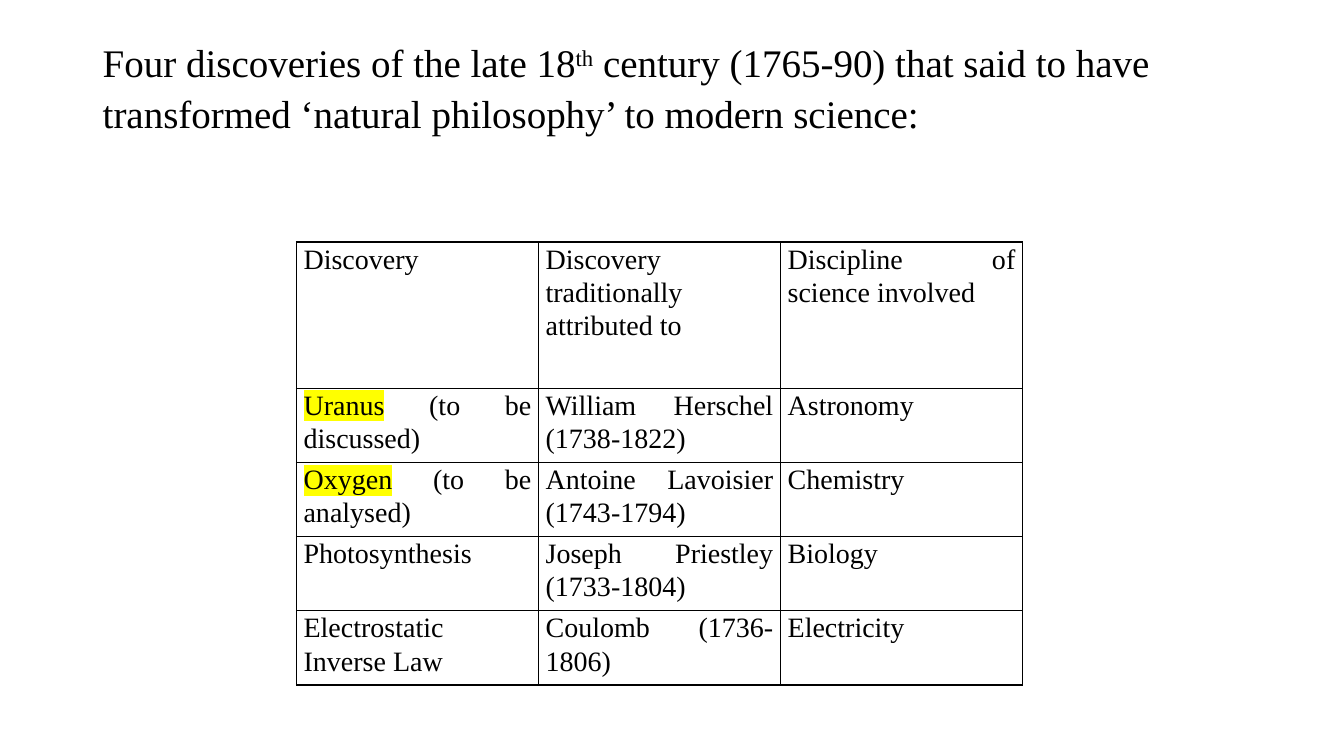
from dataclasses import dataclass

from lxml.etree import SubElement
from pptx import Presentation
from pptx.dml.color import RGBColor
from pptx.enum.text import MSO_ANCHOR as Anchor, PP_ALIGN as Align
from pptx.oxml import parse_xml
from pptx.oxml.ns import nsdecls, qn
from pptx.util import Cm, Pt


@dataclass
class Theme:
    font: str = "Times New Roman"
    ink: str = "000000"
    marker: str = "FFFF00"
    title_size: float = 27.9
    table_size: float = 20
    line_spacing: float = 1.07
    border_width: float = 1


theme = Theme()


def add_span(para, text, size):
    span = para.add_run()
    span.text = text
    span.font.size = Pt(size)
    span.font.name = theme.font
    span.font.color.rgb = RGBColor.from_string(theme.ink)
    return span


def add_border(cell, side):
    cell_format = cell._tc.get_or_add_tcPr()
    cell_format.append(parse_xml(
        f'<a:{side} {nsdecls("a")} w="{Pt(theme.border_width)}">'
        f'<a:solidFill><a:srgbClr val="{theme.ink}"/></a:solidFill></a:{side}>'
    ))


deck = Presentation()
deck.slide_width, deck.slide_height = Cm(33.87), Cm(19.05)
page = deck.slides.add_slide(deck.slide_layouts[6])

title_box = page.shapes.add_textbox(Cm(2.34), Cm(0.9), Cm(29.21), Cm(3.68))
title_frame = title_box.text_frame
title_frame.word_wrap = True
title_frame.vertical_anchor = Anchor.TOP
title_frame.margin_top = 0
title_para = title_frame.paragraphs[0]
title_para.line_spacing = theme.line_spacing
add_span(title_para, "Four discoveries of the late 18", theme.title_size)
ordinal = add_span(title_para, "th", theme.title_size)
ordinal.font._element.set("baseline", "30000")
add_span(
    title_para,
    " century (1765-90) that said to have transformed ‘natural philosophy’ to modern science:",
    theme.title_size,
)

discoveries = [
    ("Discovery", "Discovery traditionally attributed to", "Discipline of science involved"),
    ("Uranus (to be discussed)", "William Herschel (1738-1822)", "Astronomy"),
    ("Oxygen (to be analysed)", "Antoine Lavoisier (1743-1794)", "Chemistry"),
    ("Photosynthesis", "Joseph Priestley (1733-1804)", "Biology"),
    ("Electrostatic Inverse Law", "Coulomb (1736-1806)", "Electricity"),
]
highlighted = ("Uranus", "Oxygen")
column_width, header_height, row_height = Cm(6.1), Cm(3.68), Cm(1.87)

table = page.shapes.add_table(
    len(discoveries), 3, Cm(7.47), Cm(6.1),
    3 * column_width, header_height + 4 * row_height,
).table
table.first_row = False
table.horz_banding = False
for column in table.columns:
    column.width = column_width
for row, texts in zip(table.rows, discoveries):
    row.height = header_height if texts == discoveries[0] else row_height
    for cell, text in zip(row.cells, texts):
        cell.margin_left = cell.margin_right = Cm(0.18)
        cell.margin_top = cell.margin_bottom = 0
        for side in ("lnL", "lnR", "lnT", "lnB"):
            add_border(cell, side)
        cell.fill.background()
        para = cell.text_frame.paragraphs[0]
        para.alignment = Align.JUSTIFY
        para.line_spacing = theme.line_spacing
        for word in highlighted:
            if text.startswith(word):
                span = add_span(para, word, theme.table_size)
                highlight = SubElement(span.font._element, qn("a:highlight"))
                SubElement(highlight, qn("a:srgbClr"), val=theme.marker)
                span.font._element.find(qn("a:solidFill")).addnext(highlight)
                text = text.removeprefix(word)
        add_span(para, text, theme.table_size)

deck.save("out.pptx")
